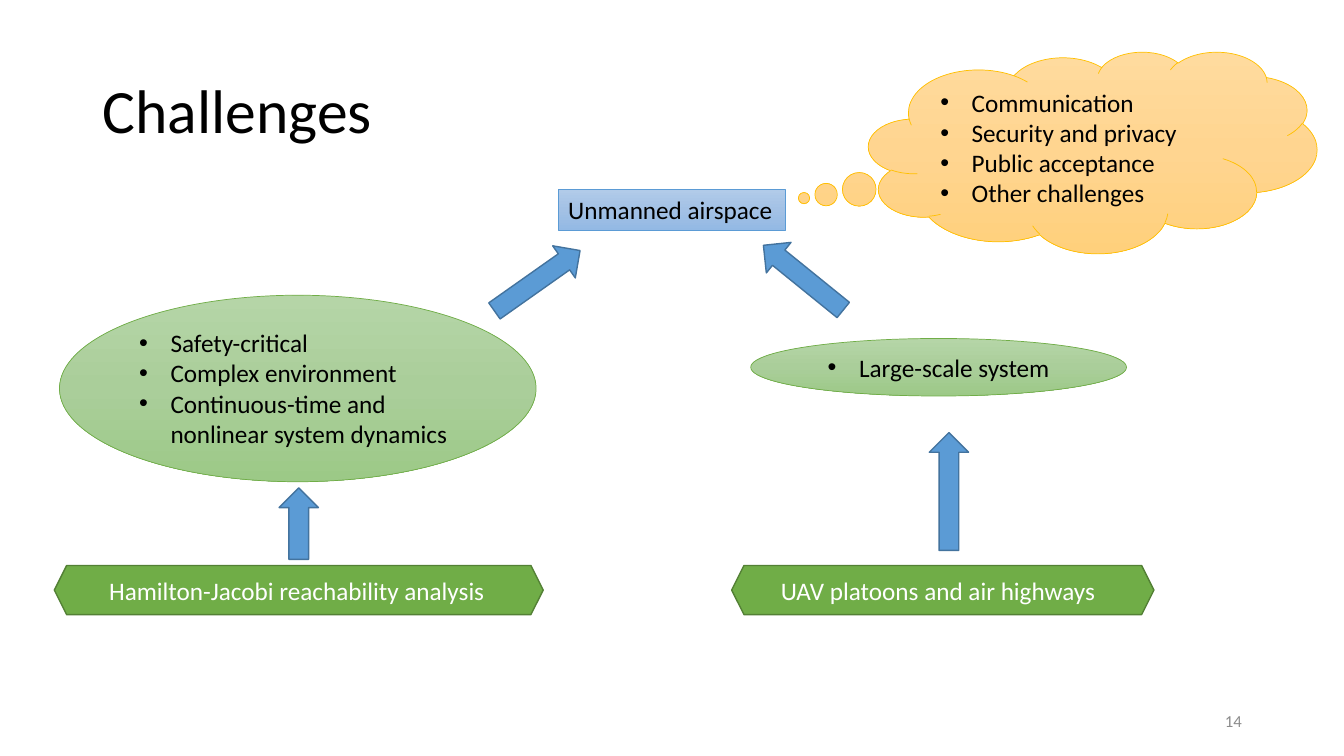
from copy import deepcopy
from dataclasses import dataclass

from lxml.etree import SubElement
from pptx import Presentation
from pptx.dml.color import RGBColor
from pptx.enum.shapes import MSO_SHAPE
from pptx.enum.text import MSO_ANCHOR, MSO_AUTO_SIZE, PP_ALIGN
from pptx.oxml.ns import qn
from pptx.util import Cm, Pt


@dataclass(frozen=True)
class Theme:
    font: str = "Calibri"
    title_size: int = 44
    body_size: int = 18
    number_size: int = 12
    black: str = "000000"
    white: str = "FFFFFF"
    grey: str = "8C8C8C"
    arrow: tuple = ("5B9BD5",)
    arrow_line: str = "43739E"
    method: tuple = ("70AD47",)
    method_line: str = "538035"
    green: tuple = ("B5D5A7", "AACE9A", "9CC987")
    green_line: str = "70AD47"
    blue: tuple = ("B1CBE9", "A3C1E5", "93B9E4")
    blue_line: str = "5B9BD5"
    gold: tuple = ("FFDB9E", "FFD590", "FFD07C")
    gold_line: str = "FFC000"


theme = Theme()


def write(box, lines, size, color, align=PP_ALIGN.LEFT, bullets=False):
    frame = box.text_frame
    for index, line in enumerate(lines):
        para = frame.paragraphs[0] if index == 0 else frame.add_paragraph()
        para.alignment = align
        if bullets:
            properties = para._p.get_or_add_pPr()
            properties.set("marL", str(Cm(0.79)))
            properties.set("indent", str(-Cm(0.79)))
            SubElement(properties, qn("a:buFont")).set("typeface", "Arial")
            SubElement(properties, qn("a:buChar")).set("char", "•")
        span = para.add_run()
        span.text = line
        span.font.name = theme.font
        span.font.size = Pt(size)
        span.font.color.rgb = RGBColor.from_string(color)


def place(kind, left, top, width, height, colors, line_color, line_width):
    shape = page.shapes.add_shape(kind, Cm(left), Cm(top), Cm(width), Cm(height))
    shape.shadow.inherit = False
    shape.line.color.rgb = RGBColor.from_string(line_color)
    shape.line.width = Pt(line_width)
    if len(colors) == 1:
        shape.fill.solid()
        shape.fill.fore_color.rgb = RGBColor.from_string(colors[0])
        return shape
    shape.fill.gradient()
    shape.fill.gradient_angle = 270
    stop_list = shape._element.spPr.find(qn("a:gradFill")).find(qn("a:gsLst"))
    stop_list.insert(1, deepcopy(stop_list[0]))
    for index, (stop, color) in enumerate(zip(shape.fill.gradient_stops, colors)):
        stop.position = index / 2
        stop.color.rgb = RGBColor.from_string(color)
    return shape


deck = Presentation()
deck.slide_width, deck.slide_height = Cm(33.87), Cm(19.05)
page = deck.slides.add_slide(deck.slide_layouts[6])

title = page.shapes.add_textbox(Cm(2.34), Cm(1.02), Cm(29.21), Cm(3.68))
write(title, ["Challenges"], theme.title_size, theme.black)
title.text_frame.paragraphs[0].line_spacing = 0.9
number = page.shapes.add_textbox(Cm(23.93), Cm(17.65), Cm(7.62), Cm(1.02))
write(number, ["14"], theme.number_size, theme.grey, PP_ALIGN.RIGHT)
for box in (title, number):
    box.text_frame.word_wrap = True
    box.text_frame.vertical_anchor = MSO_ANCHOR.MIDDLE

airspace = place(MSO_SHAPE.RECTANGLE, 14.07, 4.78, 5.72, 1.02, theme.blue, theme.blue_line, 0.5)
write(airspace, ["Unmanned airspace"], theme.body_size, theme.black)

safety = place(MSO_SHAPE.OVAL, 1.5, 7.44, 12.01, 4.7, theme.green, theme.green_line, 0.5)
safety_lines = [
    "Safety-critical",
    "Complex environment",
    "Continuous-time and nonlinear system dynamics",
]
write(safety, safety_lines, theme.body_size, theme.black, bullets=True)

scale = place(MSO_SHAPE.OVAL, 18.92, 8.53, 9.47, 1.45, theme.green, theme.green_line, 0.5)
write(scale, ["Large-scale system"], theme.body_size, theme.black, PP_ALIGN.CENTER, True)

cloud = place(MSO_SHAPE.CLOUD_CALLOUT, 21.89, 1.3, 11.3, 5.08, theme.gold, theme.gold_line, 0.5)
cloud.adjustments[0], cloud.adjustments[1] = -0.644, 0.227
cloud_lines = ["Communication", "Security and privacy", "Public acceptance", "Other challenges"]
write(cloud, cloud_lines, theme.body_size, theme.black, bullets=True)

methods = []
for left, width, label in (
    (1.37, 12.32, "Hamilton-Jacobi reachability analysis"),
    (18.44, 10.64, "UAV platoons and air highways"),
):
    method = place(MSO_SHAPE.HEXAGON, left, 14.25, width, 1.24, theme.method, theme.method_line, 1)
    write(method, [label], theme.body_size, theme.white)
    methods.append(method)

for shape in (airspace, safety, scale, cloud, *methods):
    frame = shape.text_frame
    frame.vertical_anchor = MSO_ANCHOR.TOP
    frame.auto_size = MSO_AUTO_SIZE.SHAPE_TO_FIT_TEXT
    frame.word_wrap = shape in (safety, scale, cloud)

for left, top, length, rotation in (
    (12.22, 6.58, 2.64, 324.8),
    (18.95, 6.5, 2.59, 219),
    (6.63, 12.7, 1.8, 270),
    (22.43, 11.89, 2.97, 270),
):
    arrow = place(MSO_SHAPE.RIGHT_ARROW, left, top, length, 0.99, theme.arrow, theme.arrow_line, 1)
    arrow.rotation = rotation

deck.save("out.pptx")
